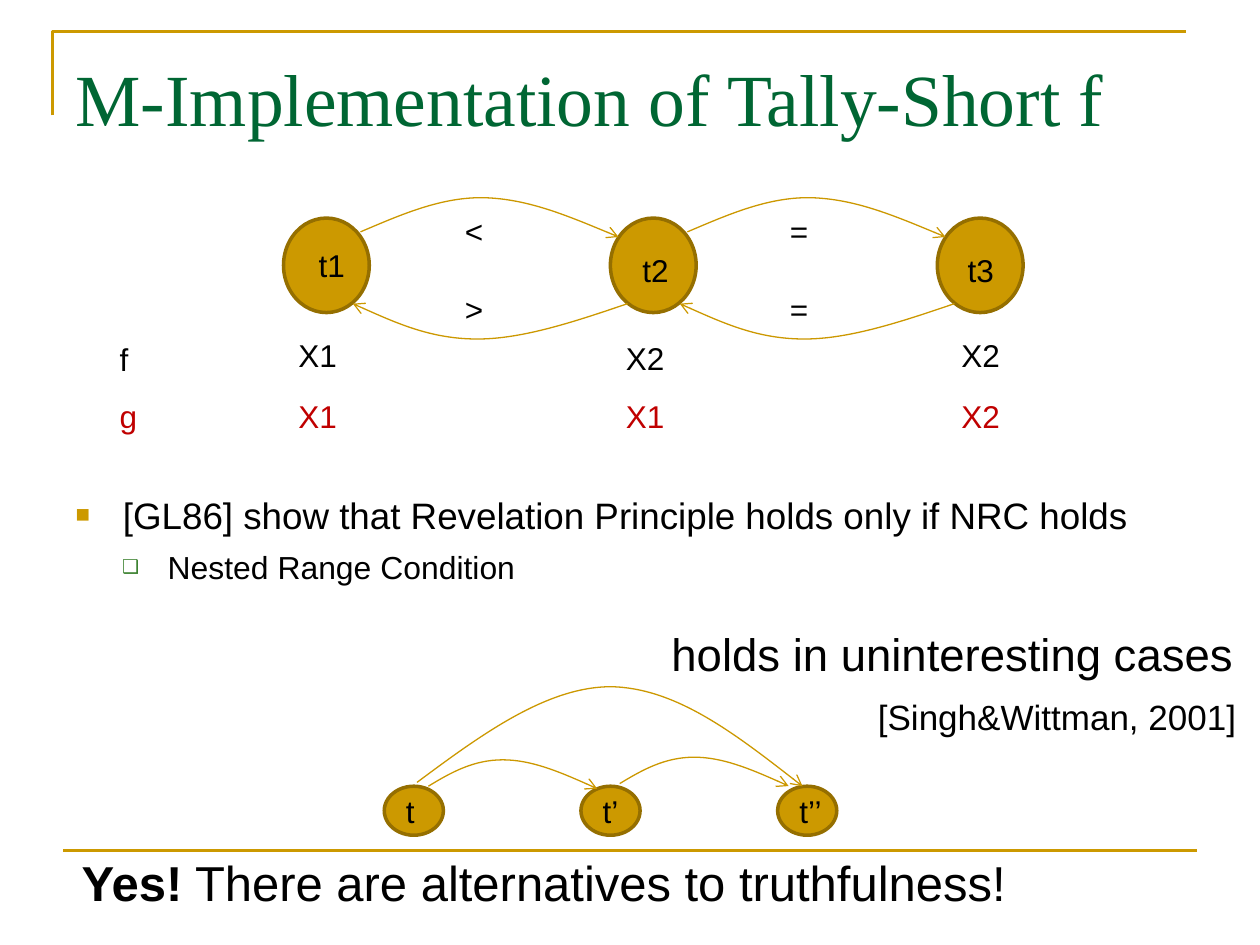
from lxml.etree import SubElement
from pptx import Presentation
from pptx.dml.color import RGBColor
from pptx.enum.shapes import MSO_CONNECTOR, MSO_SHAPE
from pptx.enum.text import MSO_ANCHOR, MSO_AUTO_SIZE, PP_ALIGN
from pptx.oxml.ns import qn
from pptx.util import Pt

COLORS = {"gold": "CC9900", "arc": "CC9800", "rim": "956F00", "title": "006633",
          "sub_bullet": "3B812F", "text": "000000", "red": "C00000"}

STATE_LEFT, STATE_STEP = 162, 186.8
TYPE_LEFT, TYPE_STEP = 219.6, 112.4

# Each curve: a start point, then three points for every Bezier segment.
FORWARD = [(206, 132.5), (229.7, 122.4), (252.7, 112.3), (277.2, 113),
           (301.7, 113.8), (327.6, 124.6), (353.5, 135.4)]
BACKWARD = [(358.6, 173.5), (329, 183.6), (298.8, 193.7), (272.9, 193.7),
            (247, 193.7), (224, 183.6), (201.6, 173.5)]
SHORT_HOP = [(244.8, 449.3), (257.8, 441.4), (270.7, 434.2), (287.3, 434.2),
             (303.1, 434.2), (322.6, 442.1), (341.3, 450.7)]
LONG_HOP = [(238.3, 447.1), (275, 419.8), (312.5, 392.4), (349.2, 392.4),
            (385.9, 393.1), (422.6, 421.2), (458.6, 449.3)]


def rgb(name):
    return RGBColor.from_string(COLORS[name])


def style_font(font, size, color="text", name="Arial"):
    font.name, font.size = name, Pt(size)
    font.color.rgb = rgb(color)


def style_line(shape, color, width):
    shape.line.color.rgb = rgb(color)
    shape.line.width = Pt(width)


def place(shape, left, top, width, height):
    shape.left, shape.top = Pt(left), Pt(top)
    shape.width, shape.height = Pt(width), Pt(height)


def add_outline(page, points, color, width):
    """Draw an open, unfilled path through the points."""
    (start_x, start_y), *rest = [(Pt(x), Pt(y)) for x, y in points]
    builder = page.shapes.build_freeform(start_x, start_y)
    builder.add_line_segments(rest, close=False)
    outline = builder.convert_to_shape()
    outline.shadow.inherit = False
    outline.fill.background()
    style_line(outline, color, width)
    return outline


def add_curved_arrow(page, points, shift_x=0, shift_y=0):
    """Turn every three line segments of an outline into one Bezier segment."""
    moved = [(x + shift_x, y + shift_y) for x, y in points]
    arrow = add_outline(page, moved, "arc", 0.75)
    outline_path = next(arrow.element.iter(qn("a:path")))
    segments = outline_path.findall(qn("a:lnTo"))
    for first in range(0, len(segments), 3):
        curve = SubElement(outline_path, qn("a:cubicBezTo"))
        for segment in segments[first:first + 3]:
            curve.append(segment[0])
            outline_path.remove(segment)
    SubElement(arrow.element.spPr.find(qn("a:ln")), qn("a:tailEnd"), type="arrow")


def add_oval(page, left, top, width, height):
    oval = page.shapes.add_shape(MSO_SHAPE.OVAL, Pt(left), Pt(top), Pt(width), Pt(height))
    oval.shadow.inherit = False
    oval.fill.solid()
    oval.fill.fore_color.rgb = rgb("gold")
    style_line(oval, "rim", 2)


def add_label(page, text, left, top, width=40, height=29, size=18, color="text"):
    box = page.shapes.add_textbox(Pt(left), Pt(top), Pt(width), Pt(height))
    box.text_frame.word_wrap = True
    para = box.text_frame.paragraphs[0]
    para.text = text
    style_font(para.runs[0].font, size, color)
    return para


def add_rule(page, left, right, y):
    rule = page.shapes.add_connector(MSO_CONNECTOR.STRAIGHT, Pt(left), Pt(y), Pt(right), Pt(y))
    style_line(rule, "gold", 1.5)
    SubElement(rule.element.spPr, qn("a:effectLst"))


def fill_title(title, text):
    place(title, 36, 21.6, 648, 90)
    frame = title.text_frame
    frame.text = text
    frame.vertical_anchor = MSO_ANCHOR.TOP
    frame.auto_size = MSO_AUTO_SIZE.NONE
    frame.margin_top = Pt(8.6)
    frame.paragraphs[0].alignment = PP_ALIGN.LEFT
    style_font(frame.paragraphs[0].runs[0].font, 42, "title", "Times New Roman")


def format_bullet(para, size, before, indent, hanging, bullet, color, percent):
    para.space_before = Pt(before)
    properties = para._p.get_or_add_pPr()
    properties.set("marL", str(Pt(indent)))
    properties.set("indent", str(-Pt(hanging)))
    bullet_color = SubElement(properties, qn("a:buClr"))
    SubElement(bullet_color, qn("a:srgbClr"), val=COLORS[color])
    SubElement(properties, qn("a:buSzPct"), val=str(percent * 1000))
    SubElement(properties, qn("a:buChar"), char=bullet)
    style_font(para.runs[0].font, size)


def fill_body(body):
    place(body, 36, 275.8, 648, 90)
    frame = body.text_frame
    frame.auto_size = MSO_AUTO_SIZE.NONE
    frame.margin_top = Pt(5.6)
    frame.text = "[GL86] show that Revelation Principle holds only if NRC holds"
    format_bullet(frame.paragraphs[0], 21, 0, 27, 27, "■", "gold", 65)
    condition = frame.add_paragraph()
    condition.text = "Nested Range Condition"
    condition.level = 1
    format_bullet(condition, 18.2, 6.5, 52.6, 26, "❑", "sub_bullet", 60)


def add_state_diagram(page):
    for index in range(3):
        add_oval(page, STATE_LEFT + index * STATE_STEP, 124.6, 49, 54)
    for index, (upper, lower) in enumerate([("<", ">"), ("=", "=")]):
        add_curved_arrow(page, FORWARD, index * STATE_STEP)
        add_curved_arrow(page, BACKWARD, index * STATE_STEP)
        sign_left = 258.5 + index * 185.8
        add_label(page, upper, sign_left, 117.4)
        add_label(page, lower, sign_left, 162)
    for text, left, top in [("t1", 175, 136.8), ("t2", 360, 139.7), ("t3", 545.8, 139.7)]:
        add_label(page, text, left, top)
    columns = [61.2, 163.4, 350.6, 542.2]
    for text, left, top in zip(["f", "X1", "X2", "X2"], columns, [190.8, 188.6, 190, 188.6]):
        add_label(page, text, left, top)
    for text, left in zip(["g", "X1", "X1", "X2"], columns):
        add_label(page, text, left, 223.2, color="red")


def add_nested_range_diagram(page):
    for index, text in enumerate(["t", "t’", "t’’"]):
        left = TYPE_LEFT + index * TYPE_STEP
        add_oval(page, left, 449.3, 33.8, 28)
        add_label(page, text, left + 5.3, 449.3)
    add_curved_arrow(page, SHORT_HOP)
    add_curved_arrow(page, SHORT_HOP, 109.4, -1.5)
    add_curved_arrow(page, LONG_HOP)


def add_conclusions(page):
    add_label(page, "holds in uninteresting cases", 376.6, 354.2, 338, 39, 26)
    add_label(page, "[Singh&Wittman, 2001]", 494.6, 393.8, 225, 32, 20)
    answer = add_label(page, "Yes!", 39.6, 483.8, 630, 41, 28)
    answer.runs[0].font.bold = True
    span = answer.add_run()
    span.text = " There are alternatives to truthfulness!"
    style_font(span.font, 28)


def main():
    deck = Presentation()
    deck.slide_width, deck.slide_height = Pt(720), Pt(540)
    page = deck.slides.add_slide(deck.slide_layouts[1])
    add_outline(page, [(30, 66), (30, 18), (678, 18)], "gold", 1.5)
    add_rule(page, 36, 684, 486)
    fill_title(page.shapes.title, "M-Implementation of Tally-Short f")
    fill_body(page.placeholders[1])
    add_state_diagram(page)
    add_nested_range_diagram(page)
    add_conclusions(page)
    deck.save("out.pptx")


if __name__ == "__main__":
    main()
